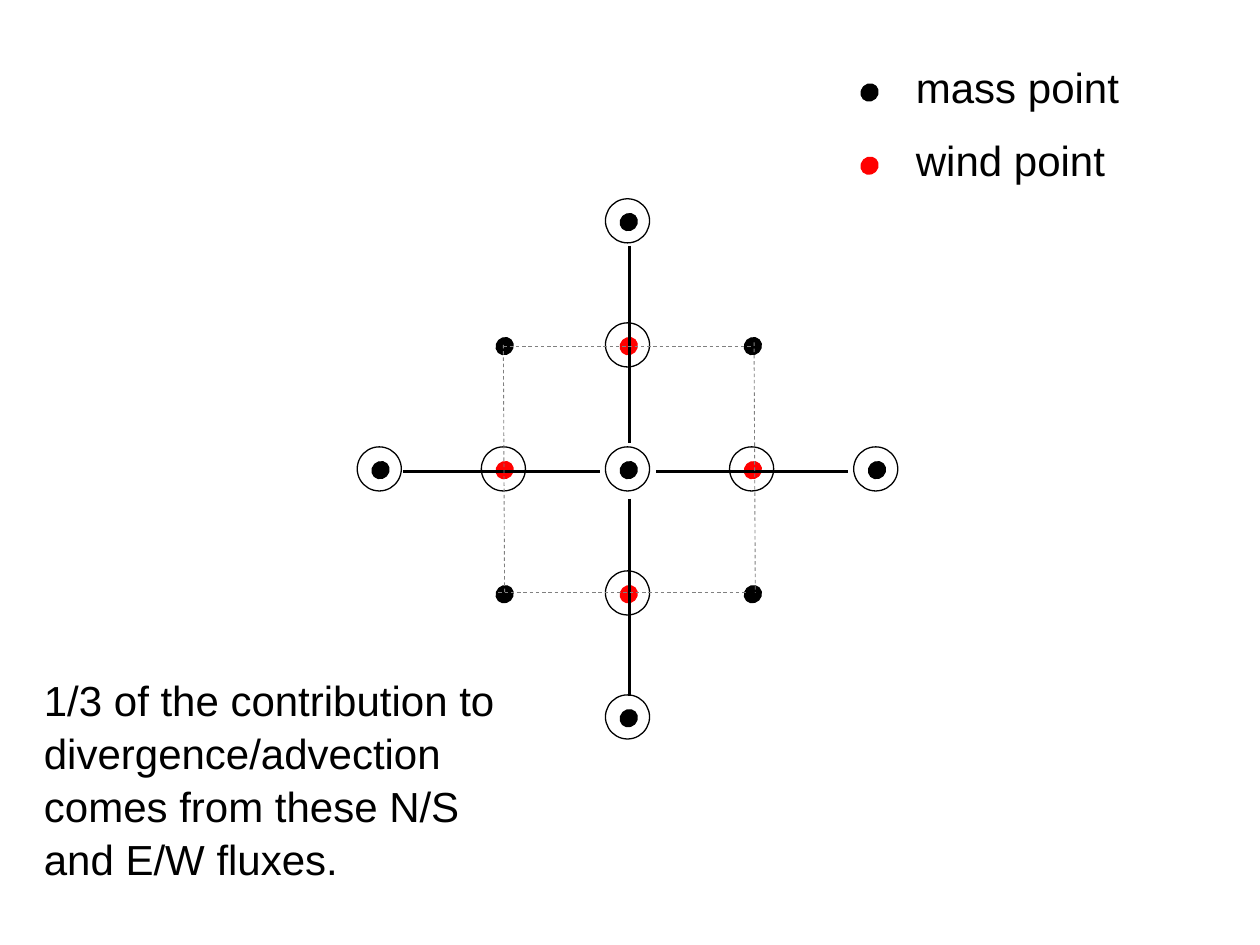
from lxml import etree
from pptx import Presentation
from pptx.dml.color import RGBColor
from pptx.enum.dml import MSO_LINE
from pptx.enum.shapes import MSO_CONNECTOR, MSO_SHAPE
from pptx.enum.text import MSO_AUTO_SIZE
from pptx.oxml.ns import qn
from pptx.util import Inches, Pt

OVAL = MSO_SHAPE.OVAL
LINE = MSO_CONNECTOR.STRAIGHT
DASH = MSO_LINE.DASH
GROW = MSO_AUTO_SIZE.SHAPE_TO_FIT_TEXT
BLACK = RGBColor(0, 0, 0)
RED = RGBColor(255, 0, 0)
GRAY = RGBColor(128, 128, 128)
WIDE, HIGH = Inches(10), Inches(7.5)
DOT = (0.14 * Inches(1), 0.13 * Inches(1))
RING = (0.35 * Inches(1), 0.35 * Inches(1))
FONT = {"name": "Arial", "size": Pt(24)}
BODY = {"word_wrap": True, "auto_size": GROW}
ARM = {"width": Pt(1.75)}
EDGE = {"width": Pt(0.5), "dash_style": DASH}

MASS = [(0, -2), (-1, -1), (1, -1), (-2, 0), (0, 0), (2, 0),
        (-1, 1), (1, 1), (0, 2)]
WIND = [(0, -1), (-1, 0), (1, 0), (0, 1)]
RINGS = [(i, 0) for i in range(-2, 3)] + [(0, j) for j in (-2, -1, 1, 2)]
ARMS = [(0, -1.82, 0, -0.23), (0, 0.22, 0, 1.81),
        (0.21, 0, 1.76, 0), (-1.83, 0, -0.24, 0)]
EDGES = [(-1.01, -1, 0.99, -1), (-1.05, 0.99, 0.95, 0.99),
         (1.01, -1.03, 1.02, 0.99), (-1.01, -1.01, -1, 1)]


def style(item, values):
    """Set each attribute named in a dict."""
    for name, value in values.items():
        setattr(item, name, value)


def oval(slide, mid, size, color=None):
    """Draw a filled dot, or an open ring, around a middle point."""
    left, top = (int(m - s / 2) for m, s in zip(mid, size))
    shape = slide.shapes.add_shape(OVAL, left, top, *map(int, size))
    shape.shadow.inherit = False
    shape.line.color.rgb = color or BLACK
    shape.line.width = Pt(0.75)
    if color is None:
        shape.fill.background()
    else:
        shape.fill.solid()
        shape.fill.fore_color.rgb = color
        shape.rotation = 135


def rule(slide, ends, color, look):
    """Draw a straight line without a shadow."""
    line = slide.shapes.add_connector(LINE, *map(int, ends))
    line.line.color.rgb = color
    style(line.line, look)
    etree.SubElement(line._element.spPr, qn("a:effectLst"))


def text(slide, box, words):
    """Place a wrapped text box."""
    frame = slide.shapes.add_textbox(*map(int, box)).text_frame
    style(frame, BODY)
    para = frame.paragraphs[0]
    para.line_spacing = 1.05
    run = para.add_run()
    run.text = words
    style(run.font, FONT)
    run.font.color.rgb = BLACK


def stencil(slide, box):
    """Draw the grid of points, rings and fluxes, four steps across."""
    left, top, wide, high = box
    dx, dy = wide / 4, high / 4

    def spot(col, row, shift=0):
        return left + (col + 2 + shift) * dx, top + (row + 2 + shift) * dy

    for color, group in ((BLACK, MASS), (RED, WIND)):
        for col, row in group:
            oval(slide, spot(col, row), DOT, color)
    for a, b, c, d in ARMS:
        rule(slide, spot(a, b, 0.01) + spot(c, d, 0.01), BLACK, ARM)
    for col, row in RINGS:
        oval(slide, spot(col, row, -0.01), RING)
    for a, b, c, d in EDGES:
        rule(slide, spot(a, b) + spot(c, d), GRAY, EDGE)


def legend(slide, box):
    """List the two kinds of point in equal rows."""
    left, top, wide, high = box
    rows = [(BLACK, "mass point"), (RED, "wind point")]
    step = high / len(rows)
    for i, (color, words) in enumerate(rows):
        y = top + i * step
        oval(slide, (left + 0.025 * wide, y + 0.54 * step), DOT, color)
        text(slide, (left + 0.12 * wide, y, 0.88 * wide, 0.86 * step), words)


def main():
    """Build the slide."""
    deck = Presentation()
    style(deck, {"slide_width": WIDE, "slide_height": HIGH})
    slide = deck.slides.add_slide(deck.slide_layouts[6])
    stencil(slide, (0.302 * WIDE, 0.235 * HIGH, 0.394 * WIDE, 0.525 * HIGH))
    legend(slide, (0.683 * WIDE, 0.056 * HIGH, 0.284 * WIDE, 0.155 * HIGH))
    text(slide, (0.025 * WIDE, 0.705 * HIGH, 0.379 * WIDE, 0.229 * HIGH),
         "1/3 of the contribution to divergence/advection "
         "comes from these N/S and E/W fluxes.")
    deck.save("out.pptx")


if __name__ == "__main__":
    main()
